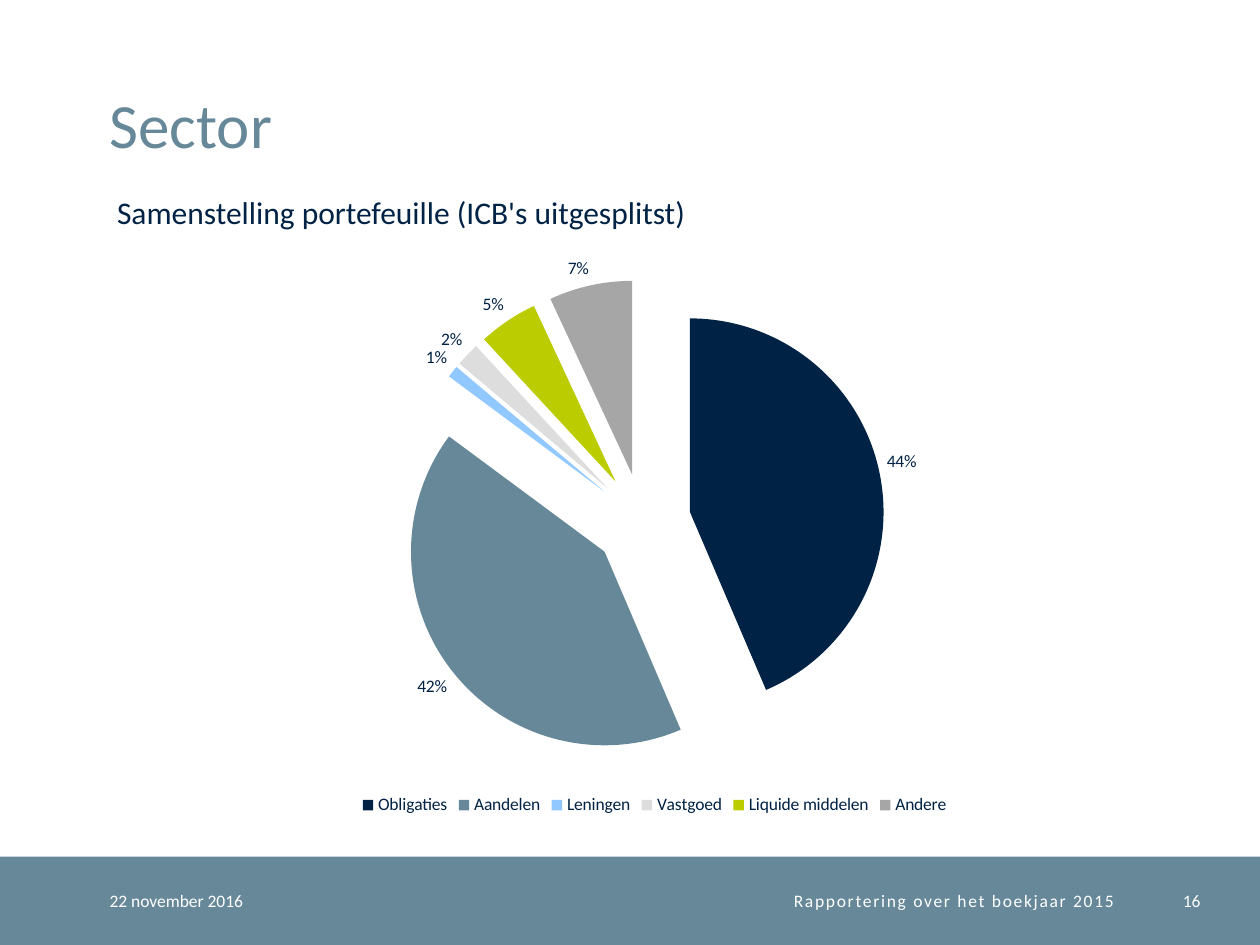
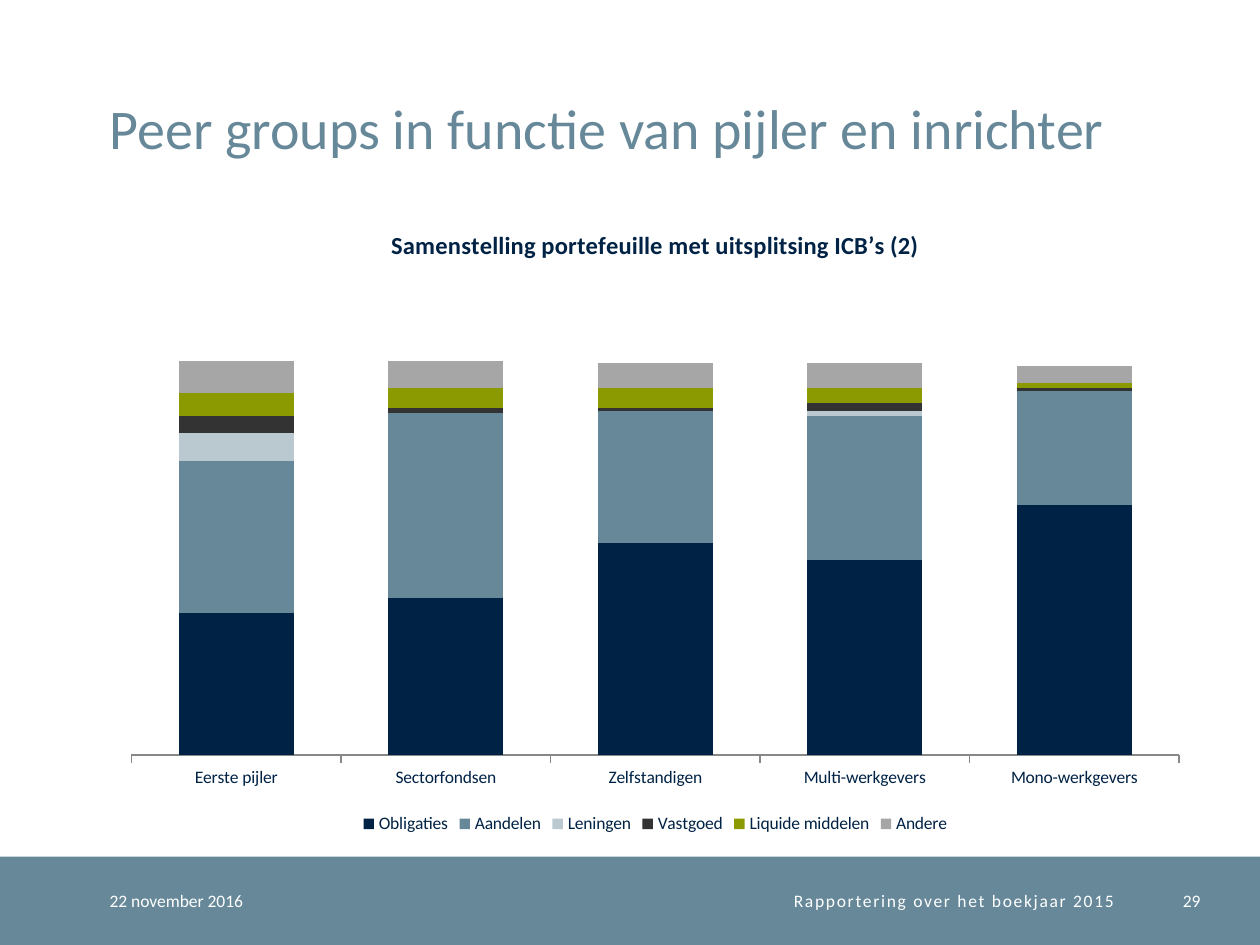
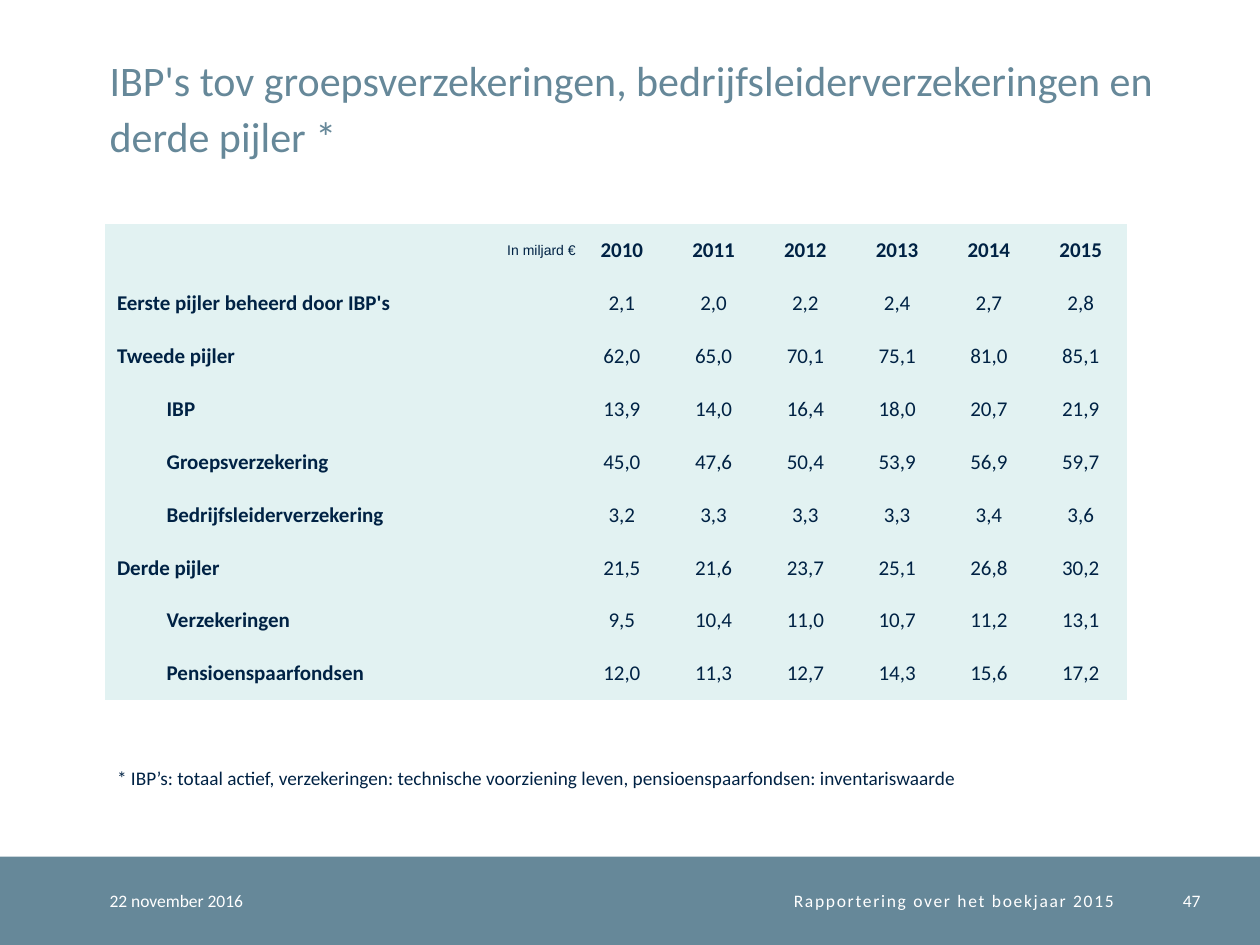
import pptx
import pptx.chart.data
import pptx.dml.color
import pptx.enum.chart
import pptx.enum.shapes
import pptx.enum.text
import pptx.oxml
import pptx.oxml.ns
import pptx.util

Cm, Pt = pptx.util.Cm, pptx.util.Pt
ALIGN = pptx.enum.text.PP_ALIGN
ANCHOR = pptx.enum.text.MSO_ANCHOR
AUTO = pptx.enum.text.MSO_AUTO_SIZE
XL = pptx.enum.chart

NAVY, STEEL, WHITE, GREY = "002244", "668899", "FFFFFF", "A6A6A6"
TABLE_FILL, AXIS = "E2F2F2", "888888"
NO_STYLE = "{2D5ABB26-0587-4C30-8999-92F81FD0307C}"
DATE, FOOTER = "22 november 2016", "Rapportering over het boekjaar 2015"

BAND = (0, 17.27, 25.4, 1.78)
TITLE = (2.21, 0.51, 21.92, 2.74)
CLASSES = ["Obligaties", "Aandelen", "Leningen", "Vastgoed", "Liquide middelen", "Andere"]

PIE_VALUES = [0.44, 0.42, 0.01, 0.02, 0.05, 0.07]
PIE_COLOURS = [NAVY, STEEL, "91C8FF", "DDDDDD", "BBCC00", GREY]

PEERS = ["Eerste pijler", "Sectorfondsen", "Zelfstandigen", "Multi-werkgevers", "Mono-werkgevers"]
PEER_VALUES = [
    [57, 63, 85, 78, 100],
    [61, 74, 53, 58, 46],
    [11, 0, 0, 2, 0],
    [7, 2, 1, 3, 1],
    [9, 8, 8, 6, 2],
    [13, 11, 10, 10, 7],
]
PEER_COLOURS = [NAVY, STEEL, "BAC9D0", "333333", "8B9A00", GREY]

PILLARS = [
    (0, "In miljard €", "2010 2011 2012 2013 2014 2015"),
    (0, "Eerste pijler beheerd door IBP's", "2,1 2,0 2,2 2,4 2,7 2,8"),
    (0, "Tweede pijler", "62,0 65,0 70,1 75,1 81,0 85,1"),
    (1, "IBP", "13,9 14,0 16,4 18,0 20,7 21,9"),
    (1, "Groepsverzekering", "45,0 47,6 50,4 53,9 56,9 59,7"),
    (1, "Bedrijfsleiderverzekering", "3,2 3,3 3,3 3,3 3,4 3,6"),
    (0, "Derde pijler", "21,5 21,6 23,7 25,1 26,8 30,2"),
    (1, "Verzekeringen", "9,5 10,4 11,0 10,7 11,2 13,1"),
    (1, "Pensioenspaarfondsen", "12,0 11,3 12,7 14,3 15,6 17,2"),
]


def rgb(value):
    return pptx.dml.color.RGBColor.from_string(value)


def cm(box):
    return [Cm(v) for v in box]


def set_attrs(obj, values):
    for name, value in values.items():
        setattr(obj, name, value)


def set_font(font, size, colour, bold=False, name="Calibri"):
    set_attrs(font, {"size": Pt(size), "bold": bold, "name": name})
    font.color.rgb = rgb(colour)


def fill(obj, colour):
    obj.fill.solid()
    obj.fill.fore_color.rgb = rgb(colour)


def write(tf, text, size, colour, align=ALIGN.LEFT, **font):
    p = tf.paragraphs[0]
    p.alignment = align
    r = p.add_run()
    r.text = text
    set_font(r.font, size, colour, **font)
    return r


def frame(tf, anchor):
    set_attrs(tf, {"margin_left": 0, "margin_right": 0, "margin_top": 0, "margin_bottom": 0,
                   "word_wrap": True, "auto_size": AUTO.NONE, "vertical_anchor": anchor})


def add_band(prs, slide):
    sp = slide.shapes.add_shape(pptx.enum.shapes.MSO_SHAPE.RECTANGLE, *cm(BAND))
    sp.shadow.inherit = False
    fill(sp, STEEL)
    sp.line.fill.background()
    prs.slide_master.shapes.element.insert(2, sp.element)


def add_footer(slide, number, box):
    x, y, w, h = box
    parts = [(DATE, 2.21, 4.5, ALIGN.LEFT, 0),
             (FOOTER, 6.71, 15.75, ALIGN.RIGHT, 100),
             (number, 22.96, 1.24, ALIGN.RIGHT, 0)]
    for text, left, width, align, spacing in parts:
        tf = slide.shapes.add_textbox(*cm((x + left, y, width, h))).text_frame
        frame(tf, ANCHOR.MIDDLE)
        r = write(tf, text, 10, WHITE, align)
        if spacing:
            r.font._element.set("spc", str(spacing))


def add_title(slide, text, size, box):
    sp = slide.shapes.title
    set_attrs(sp, dict(zip(("left", "top", "width", "height"), cm(box))))
    frame(sp.text_frame, ANCHOR.BOTTOM)
    write(sp.text_frame, text, size, STEEL)
    sp.text_frame.paragraphs[0].line_spacing = Pt(32)


def add_slide(prs, title, size, number):
    slide = prs.slides.add_slide(prs.slide_layouts[5])
    add_title(slide, title, size, TITLE)
    add_footer(slide, number, BAND)
    return slide


def add_caption(slide, text, size, box):
    tf = slide.shapes.add_textbox(*cm(box)).text_frame
    tf.word_wrap = True
    write(tf, text, size, NAVY)


def add_chart(slide, kind, cats, series, box):
    data = pptx.chart.data.CategoryChartData()
    data.categories = cats
    for name, values in series:
        data.add_series(name, values)
    chart = slide.shapes.add_chart(kind, *cm(box), data).chart
    set_font(chart.font, 10, NAVY)
    chart.has_title = False
    chart.has_legend = True
    set_attrs(chart.legend, {"position": XL.XL_LEGEND_POSITION.BOTTOM, "include_in_layout": False})
    return chart


def add_sector_pie(slide, box):
    chart = add_chart(slide, XL.XL_CHART_TYPE.PIE, CLASSES, [("Series 1", PIE_VALUES)], box)
    plot = chart.plots[0]
    plot.vary_by_categories = True
    plot.has_data_labels = True
    set_attrs(plot.data_labels, {"show_value": True, "show_percentage": False,
                                 "number_format": "0%", "number_format_is_linked": False,
                                 "position": XL.XL_LABEL_POSITION.OUTSIDE_END})
    ser = plot.series[0]
    for i, colour in enumerate(PIE_COLOURS):
        fill(ser.points[i].format, colour)
    explosion = pptx.oxml.parse_xml(
        f'<c:explosion {pptx.oxml.ns.nsdecls("c")} val="25"/>')
    ser._element.find(pptx.oxml.ns.qn("c:dPt")).addprevious(explosion)


def add_peer_columns(slide, box):
    chart = add_chart(slide, XL.XL_CHART_TYPE.COLUMN_STACKED, PEERS,
                      zip(CLASSES, PEER_VALUES), box)
    chart.has_title = True
    write(chart.chart_title.text_frame, "Samenstelling portefeuille met uitsplitsing ICB’s (2)",
          14, NAVY, ALIGN.CENTER, bold=True)
    chart.chart_title.include_in_layout = False
    plot = chart.plots[0]
    set_attrs(plot, {"gap_width": 82, "overlap": 100, "vary_by_categories": False})
    for ser, colour in zip(plot.series, PEER_COLOURS):
        fill(ser.format, colour)
    set_attrs(chart.value_axis, {"visible": False, "has_major_gridlines": False,
                                 "minimum_scale": 0, "maximum_scale": 190})
    chart.category_axis.major_tick_mark = XL.XL_TICK_MARK.OUTSIDE
    chart.category_axis.format.line.color.rgb = rgb(AXIS)


def add_cell(cell, text, indent=0, **style):
    fill(cell, TABLE_FILL)
    set_attrs(cell, {"margin_left": Cm(indent), "margin_right": 0, "margin_top": 0,
                     "margin_bottom": 0, "vertical_anchor": ANCHOR.MIDDLE})
    write(cell.text_frame, text, colour=NAVY, **style)


def add_pillar_table(slide, box):
    gf = slide.shapes.add_table(len(PILLARS), 7, *cm(box))
    table = gf.table
    set_attrs(table, {"first_row": False, "horz_banding": False})
    table._tbl.tblPr.find(pptx.oxml.ns.qn("a:tableStyleId")).text = NO_STYLE
    year_width = 1.85
    for i, col in enumerate(table.columns):
        col.width = Cm(year_width if i else box[2] - 6 * year_width)
    for row, (level, label, figures) in enumerate(PILLARS):
        table.rows[row].height = Cm(box[3] / len(PILLARS))
        if row:
            style = {"size": 12, "bold": True}
        else:
            style = {"size": 8, "name": "Arial", "align": ALIGN.RIGHT}
        add_cell(table.cell(row, 0), label, 1.25 if level else 0.25, **style)
        for col, figure in enumerate(figures.split(), 1):
            add_cell(table.cell(row, col), figure, size=12, bold=row == 0, align=ALIGN.CENTER)


def main():
    prs = pptx.Presentation()
    set_attrs(prs, {"slide_width": Cm(25.4), "slide_height": Cm(19.05)})

    slide = add_slide(prs, "Sector", 36, "16")
    add_band(prs, slide)
    add_caption(slide, "Samenstelling portefeuille (ICB's uitgesplitst)", 18, (2.11, 3.76, 15.6, 1.02))
    add_sector_pie(slide, (2.21, 4.8, 21.97, 11.73))

    slide = add_slide(prs, "Peer groups in functie van pijler en inrichter", 32, "29")
    add_peer_columns(slide, (2.21, 4.11, 22, 12.8))

    slide = add_slide(prs, "IBP's tov groepsverzekeringen, bedrijfsleiderverzekeringen en derde pijler *",
                      24, "47")
    add_pillar_table(slide, (2.11, 4.52, 20.6, 9.6))
    add_caption(slide, "* IBP’s: totaal actief, verzekeringen: technische voorziening leven, "
                "pensioenspaarfondsen: inventariswaarde", 11, (2.11, 15.32, 21.21, 0.74))

    prs.save("out.pptx")


if __name__ == "__main__":
    main()
